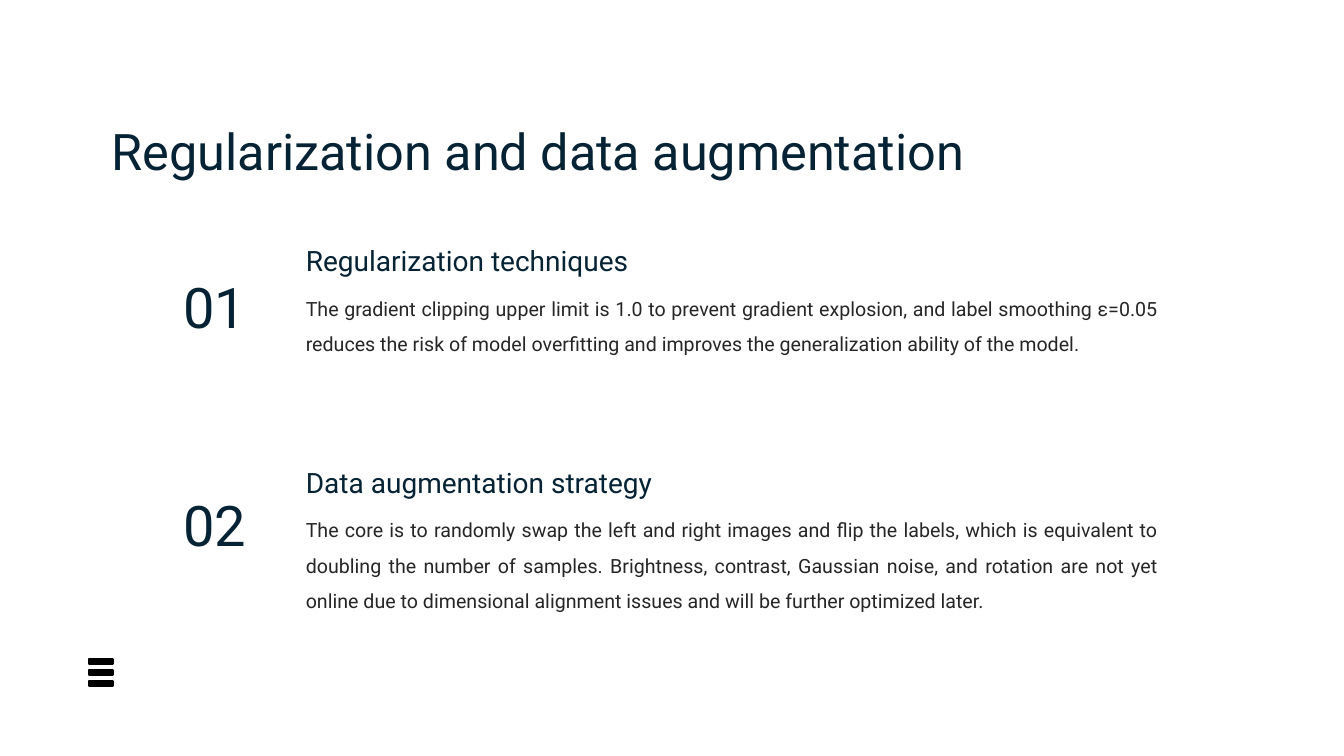
from dataclasses import dataclass

from pptx import Presentation
from pptx import util as u
from pptx.dml.color import RGBColor
from pptx.enum import shapes, text


@dataclass(frozen=True)
class Theme:
    font: str = "Roboto"
    navy: str = "052334"
    body: str = "262626"
    black: str = "000000"
    number_size: int = 40
    title_size: int = 36
    heading_size: int = 20
    body_size: int = 14
    spacing: float = 1.5


class Slide:
    """Places elements on a grid of 160 columns and 90 rows."""

    COLUMNS, ROWS = 160, 90

    def __init__(self, deck, theme):
        self.theme = theme
        self.column = deck.slide_width / self.COLUMNS
        self.row = deck.slide_height / self.ROWS
        self.page = deck.slides.add_slide(deck.slide_layouts.get_by_name("Title Only"))

    def area(self, left, top, width, height):
        return (round(left * self.column), round(top * self.row),
                round(width * self.column), round(height * self.row))

    def set_words(self, box, words, size, color, align, anchor, spacing):
        frame = box.text_frame
        frame.word_wrap = True
        frame.auto_size = text.MSO_AUTO_SIZE.SHAPE_TO_FIT_TEXT
        frame.vertical_anchor = anchor
        frame.margin_left = frame.margin_right = 0
        frame.margin_top = frame.margin_bottom = 0
        para = frame.paragraphs[0]
        para.alignment = align
        para.line_spacing = spacing
        span = para.add_run()
        span.text = words
        span.font.name = self.theme.font
        span.font.size = u.Pt(size)
        span.font.color.rgb = RGBColor.from_string(color)

    def title(self, words, *place):
        box = self.page.shapes.title
        box.left, box.top, box.width, box.height = self.area(*place)
        self.set_words(box, words, self.theme.title_size, self.theme.navy,
                       text.PP_ALIGN.LEFT, text.MSO_ANCHOR.MIDDLE, self.theme.spacing)

    def number(self, words, *place):
        box = self.page.shapes.add_textbox(*self.area(*place))
        self.set_words(box, words, self.theme.number_size, self.theme.navy,
                       text.PP_ALIGN.CENTER, text.MSO_ANCHOR.TOP, 1.0)

    def heading(self, words, *place):
        box = self.page.shapes.add_textbox(*self.area(*place))
        self.set_words(box, words, self.theme.heading_size, self.theme.navy,
                       text.PP_ALIGN.LEFT, text.MSO_ANCHOR.MIDDLE, self.theme.spacing)

    def body(self, words, *place):
        box = self.page.shapes.add_textbox(*self.area(*place))
        self.set_words(box, words, self.theme.body_size, self.theme.body,
                       text.PP_ALIGN.JUSTIFY, text.MSO_ANCHOR.TOP, self.theme.spacing)

    def bar(self, *place):
        bar = self.page.shapes.add_shape(shapes.MSO_SHAPE.RECTANGLE, *self.area(*place))
        bar.shadow.inherit = False
        bar.fill.solid()
        bar.fill.fore_color.rgb = RGBColor.from_string(self.theme.black)
        bar.line.color.rgb = RGBColor.from_string(self.theme.black)
        bar.line.width = u.Pt(1.5)


# Number, row of number, row of heading, heading, rows of body, body
TOPICS = [
    ("01", 32.4, 28, "Regularization techniques", 7.1,
     "The gradient clipping upper limit is 1.0 to prevent gradient explosion, and label "
     "smoothing ε=0.05 reduces the risk of model overfitting and improves the "
     "generalization ability of the model."),
    ("02", 58.4, 54.4, "Data augmentation strategy", 11.3,
     "The core is to randomly swap the left and right images and flip the labels, which is "
     "equivalent to doubling the number of samples. Brightness, contrast, Gaussian noise, "
     "and rotation are not yet online due to dimensional alignment issues and will be "
     "further optimized later."),
]
NUMBER_LEFT, NUMBER_WIDTH = 19.8, 11.5
TEXT_LEFT, TEXT_WIDTH = 36.4, 101.5


def main():
    deck = Presentation()
    deck.slide_width, deck.slide_height = u.Inches(13.33), u.Inches(7.5)
    slide = Slide(deck, Theme())

    # Title
    slide.title("Regularization and data augmentation", 13.3, 12.5, 139.8, 7.2)

    # Menu mark
    for index in range(3):
        slide.bar(10.6, 78.4 + 1.32 * index, 2.8, 0.6)

    # Numbered topics
    for number, number_row, heading_row, heading, body_rows, body in TOPICS:
        slide.number(number, NUMBER_LEFT, number_row, NUMBER_WIDTH, 8)
        slide.heading(heading, TEXT_LEFT, heading_row, TEXT_WIDTH, 4)
        slide.body(body, TEXT_LEFT, heading_row + 5.9, TEXT_WIDTH, body_rows)

    deck.save("out.pptx")


if __name__ == "__main__":
    main()
